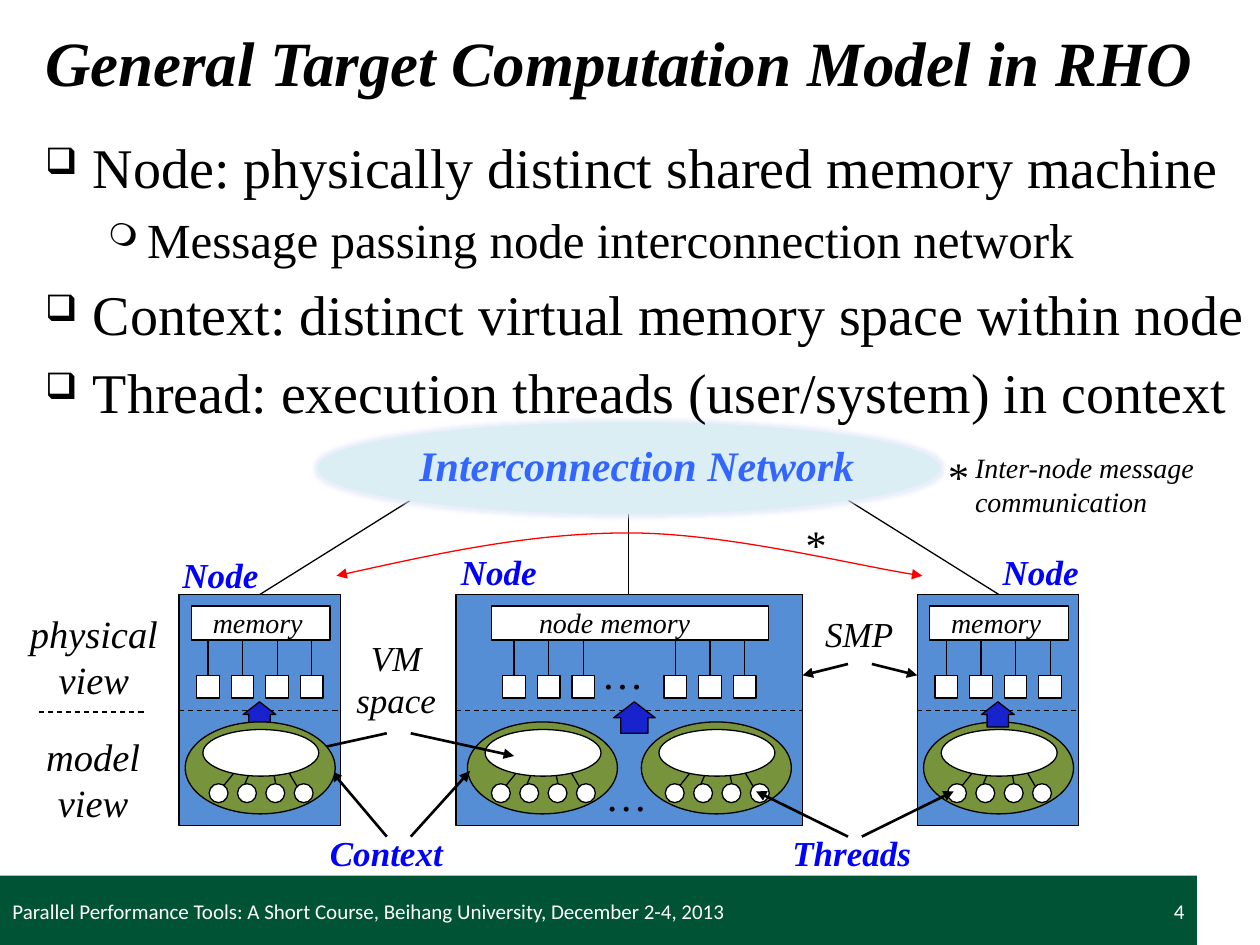
from dataclasses import dataclass
from typing import Optional

from lxml.etree import SubElement
from pptx import Presentation
from pptx.dml.color import RGBColor
from pptx.enum.dml import MSO_LINE
from pptx.enum.shapes import MSO_CONNECTOR, MSO_SHAPE as Shape
from pptx.enum.text import MSO_ANCHOR as Anchor, PP_ALIGN as Align
from pptx.oxml.ns import qn
from pptx.util import Inches, Pt


@dataclass(frozen=True)
class Theme:
    serif: str = "Times New Roman"
    sans: str = "Calibri"
    black: str = "000000"
    white: str = "FFFFFF"
    footer: str = "005334"
    node: str = "558ED5"
    context: str = "77933C"
    arrow: str = "1822CD"
    label: str = "0000FF"
    network: str = "DBEEF4"
    glow: str = "DCE4F8"
    network_text: str = "3366FF"
    message: str = "FF0000"
    title_size: float = 36
    body_sizes: tuple = (32, 28)
    body_gaps: tuple = (6.4, 5.6)
    big: float = 24
    view: float = 22
    medium: float = 20
    small: float = 16
    footer_size: float = 12
    thin: float = 0.75
    thick: float = 1.5


@dataclass(frozen=True)
class Node:
    left: float
    width: float
    memory: tuple      # left, width
    caption: tuple     # text, left, width
    cpu_rows: tuple    # (left, count) of each row
    contexts: tuple    # left edges
    label: tuple       # left, top
    arrow: tuple       # left, width, height


T = Theme()
NODE_TOP, NODE_HEIGHT, DIVIDER = 4.72, 1.83, 5.64
CPU_TOP, CPU_SIZE, CPU_STEP = 5.36, 0.18, 0.275
THREAD_STEP, THREAD_SIZE = 0.225, 0.15
LEFT = Node(1.42, 1.28, (1.52, 1.1), ("memory", 1.59, 1.01), ((1.56, 4),),
            (1.47,), (1.35, 4.34), (1.93, 0.26, 0.2))
MIDDLE = Node(3.62, 2.75, (3.9, 2.2), ("node memory", 4.18, 1.73),
              ((3.99, 3), (5.27, 3)), (3.71, 5.09), (3.56, 4.32), (4.87, 0.33, 0.25))
RIGHT = Node(7.28, 1.28, (7.38, 1.1), ("memory", 7.45, 1.01), ((7.42, 4),),
             (7.33,), (7.86, 4.32), (7.79, 0.26, 0.2))
NODES = (LEFT, MIDDLE, RIGHT)

BULLETS = (
    (0, "Node: physically distinct shared memory machine"),
    (1, "Message passing node interconnection network"),
    (0, "Context: distinct virtual memory space within node"),
    (0, "Thread: execution threads (user/system) in context"),
)
BULLET_STYLES = (("❑", 0.38, -0.38), ("❍", 0.81, -0.31))
POINTERS = (
    ((3.07, 5.82), (2.25, 6)), ((3.26, 5.82), (4.08, 6)),
    ((3.07, 6.64), (2.63, 6.12)), ((3.26, 6.64), (3.73, 6.12)),
    ((6.73, 5.27), (6.37, 5.36)), ((6.92, 5.27), (7.28, 5.36)),
    ((6.73, 6.64), (6, 6.28)), ((6.84, 6.64), (7.57, 6.28)),
)
MESSAGE_CURVE = ((2.67, 4.57), (3.44, 4.4), (4.21, 4.23), (4.99, 4.23),
                 (5.76, 4.23), (6.83, 4.5), (7.32, 4.57))


def rgb(color: str) -> RGBColor:
    return RGBColor.from_string(color)


def add_text(s, text: str, left: float, top: float, width: float, height: float, *,
             size: float, color: str = T.black, font: str = T.serif, bold: bool = False,
             italic: bool = True, align=Align.LEFT, anchor=Anchor.TOP,
             wrap: bool = False):
    """Add a text box with one paragraph per line of text."""
    tf = s.shapes.add_textbox(*map(Inches, (left, top, width, height))).text_frame
    tf.word_wrap, tf.vertical_anchor = wrap, anchor
    for i, line in enumerate(text.split("\n")):
        p = tf.add_paragraph() if i else tf.paragraphs[0]
        p.alignment = align
        r = p.add_run()
        r.text = line
        r.font.name, r.font.size = font, Pt(size)
        r.font.bold, r.font.italic = bold, italic
        r.font.color.rgb = rgb(color)
    return tf


def add_box(shapes, kind, left: float, top: float, width: float, height: float,
            fill: str = T.white, outline: Optional[str] = T.black):
    sp = shapes.add_shape(kind, *map(Inches, (left, top, width, height)))
    sp.shadow.inherit = False
    sp.fill.solid()
    sp.fill.fore_color.rgb = rgb(fill)
    if outline:
        sp.line.color.rgb = rgb(outline)
        sp.line.width = Pt(T.thin)
    else:
        sp.line.fill.background()
    return sp


def add_line(s, start: tuple, end: tuple, width: float = T.thin,
             dashed: bool = False, arrow: bool = False) -> None:
    c = s.shapes.add_connector(MSO_CONNECTOR.STRAIGHT, *map(Inches, start + end))
    SubElement(c._element.spPr, qn("a:effectLst"))
    c.line.color.rgb = rgb(T.black)
    c.line.width = Pt(width)
    if dashed:
        c.line.dash_style = MSO_LINE.DASH
    if arrow:
        SubElement(c.line._get_or_add_ln(), qn("a:tailEnd"), type="triangle")


def add_bullets(s) -> None:
    tf = add_text(s, "\n".join(text for _, text in BULLETS), 0.26, 1, 9.74, 2.42,
                  size=T.body_sizes[0], italic=False, wrap=True)
    for i, (p, (level, _)) in enumerate(zip(tf.paragraphs, BULLETS)):
        mark, margin, indent = BULLET_STYLES[level]
        p.level = level
        if i:
            p.space_before = Pt(T.body_gaps[level])
        pPr = p._p.get_or_add_pPr()
        pPr.set("marL", str(Inches(margin)))
        pPr.set("indent", str(Inches(indent)))
        SubElement(pPr, qn("a:buSzPct"), val="65000")
        SubElement(pPr, qn("a:buChar"), char=mark)
        p.runs[0].font.size = Pt(T.body_sizes[level])


def add_node(s, node: Node) -> None:
    """Draw the physical half of a node, with its divider and label."""
    add_box(s.shapes, Shape.RECTANGLE, node.left, NODE_TOP, node.width, NODE_HEIGHT, T.node)
    left, width = node.memory
    add_box(s.shapes, Shape.RECTANGLE, left, 4.81, width, 0.27)
    text, left, width = node.caption
    add_text(s, text, left, 4.76, width, 0.37, size=T.small)
    for row_left, count in node.cpu_rows:
        for i in range(count):
            x = row_left + i * CPU_STEP
            add_box(s.shapes, Shape.RECTANGLE, x, CPU_TOP, CPU_SIZE, CPU_SIZE)
            stem = x + CPU_SIZE / 2
            add_line(s, (stem, CPU_TOP), (stem, 5.09))
    add_line(s, (node.left, DIVIDER), (node.left + node.width, DIVIDER), dashed=True)
    add_text(s, "Node", *node.label, 0.9, 0.44, size=T.medium, color=T.label, bold=True)


def add_context(s, left: float) -> None:
    """Draw a context: its memory space joined to four threads."""
    add_box(s.shapes, Shape.OVAL, left, 5.73, 1.19, 0.73, T.context)
    for offset in (0.91, 0.73, 0.45, 0.27):
        add_line(s, (left + offset, 6.28), (left + 0.64, 5.82))
    add_box(s.shapes, Shape.OVAL, left + 0.14, 5.79, 0.92, 0.37)
    threads = s.shapes.add_group_shape()
    for i in range(4):
        add_box(threads.shapes, Shape.OVAL, left + 0.19 + i * THREAD_STEP, 6.22,
                THREAD_SIZE, THREAD_SIZE)


def add_up_arrow(s, left: float, width: float, height: float) -> None:
    sp = add_box(s.shapes, Shape.UP_ARROW, left, 5.57, width, height, T.arrow)
    sp.adjustments[0], sp.adjustments[1] = 0.656, 0.507


def add_network(s) -> None:
    sp = add_box(s.shapes, Shape.OVAL, 2.52, 3.35, 4.94, 0.73, T.network, None)
    effects = sp._element.spPr.find(qn("a:effectLst"))
    glow = SubElement(effects, qn("a:glow"), rad=str(Pt(4)))
    color = SubElement(glow, qn("a:srgbClr"), val=T.glow)
    SubElement(color, qn("a:alpha"), val="60000")
    add_text(s, "Interconnection Network", 3.23, 3.44, 3.8, 0.5,
             size=T.big, color=T.network_text, bold=True)


def add_message_curve(s) -> None:
    """Join the points as Bézier segments, three points to a segment."""
    points = [(Inches(x), Inches(y)) for x, y in MESSAGE_CURVE]
    builder = s.shapes.build_freeform(*points[0])
    builder.add_line_segments(points[1:], close=False)
    sp = builder.convert_to_shape()
    sp.shadow.inherit = False
    sp.fill.background()
    sp.line.color.rgb = rgb(T.message)
    sp.line.width = Pt(T.thin)
    for end in ("a:headEnd", "a:tailEnd"):
        SubElement(sp.line._get_or_add_ln(), qn(end), type="triangle")
    outline = next(sp._element.iter(qn("a:path")))
    for i, segment in enumerate(outline.findall(qn("a:lnTo"))):
        if i % 3 == 0:
            curve = SubElement(outline, qn("a:cubicBezTo"))
        curve.append(segment[0])
        outline.remove(segment)


def add_labels(s) -> None:
    add_text(s, "VM\nspace", 2.68, 5, 0.93, 0.77, size=T.medium, align=Align.CENTER)
    add_text(s, "SMP", 6.45, 4.81, 0.84, 0.44, size=T.medium)
    for text, left, width in (("Context", 2.52, 1.2), ("Threads", 6.19, 1.25)):
        add_text(s, text, left, 6.55, width, 0.44, size=T.medium, color=T.label, bold=True)
    for text, left, top, width in (("…", 4.7, 5.09, 0.61), ("…", 4.73, 6.06, 0.61),
                                   ("*", 6.28, 4.07, 0.48), ("*", 7.41, 3.53, 0.48)):
        add_text(s, text, left, top, width, 0.5, size=T.big)
    add_text(s, "Inter-node message\ncommunication", 7.64, 3.53, 2.06, 0.64, size=T.small)
    for text, left, top, width in (("physical\nview", 0.07, 4.79, 1.35),
                                   ("model\nview", 0.21, 5.77, 1.06)):
        add_text(s, text, left, top, width, 0.84, size=T.view, align=Align.CENTER)
    add_line(s, (0.31, 5.65), (1.15, 5.65), dashed=True)


def add_footer(s) -> None:
    add_box(s.shapes, Shape.RECTANGLE, 0, 6.95, 9.5, 0.55, T.footer, None)
    course = "Parallel Performance Tools: A Short Course, Beihang University, December 2-4, 2013"
    for text, left, width, align in ((course, 0, 6.58, Align.LEFT),
                                     ("4", 7.17, 2.33, Align.RIGHT)):
        add_text(s, text, left, 6.97, width, 0.53, size=T.footer_size, color=T.white,
                 font=T.sans, italic=False, align=align, anchor=Anchor.MIDDLE, wrap=True)


def main() -> None:
    prs = Presentation()
    prs.slide_width, prs.slide_height = Inches(10), Inches(7.5)
    s = prs.slides.add_slide(prs.slide_layouts[6])
    add_footer(s)
    add_text(s, "General Target Computation Model in RHO", 0.26, 0.01, 9.74, 0.96,
             size=T.title_size, bold=True, anchor=Anchor.MIDDLE, wrap=True)
    for start, end in (((2.06, NODE_TOP), (3.53, 3.8)), ((4.99, NODE_TOP), (4.99, 3.9)),
                       ((7.93, NODE_TOP), (6.46, 3.8))):
        add_line(s, start, end)
    for node in NODES:
        add_node(s, node)
    for left in MIDDLE.contexts + RIGHT.contexts:
        add_context(s, left)
    for start, end in POINTERS:
        add_line(s, start, end, T.thick, arrow=True)
    add_network(s)
    add_bullets(s)  # the last line stays clear of the network's edge
    add_message_curve(s)
    add_labels(s)
    for node in NODES:
        add_up_arrow(s, *node.arrow)
    add_context(s, *LEFT.contexts)  # covers the end of the VM space pointer
    prs.save("out.pptx")


if __name__ == "__main__":
    main()
